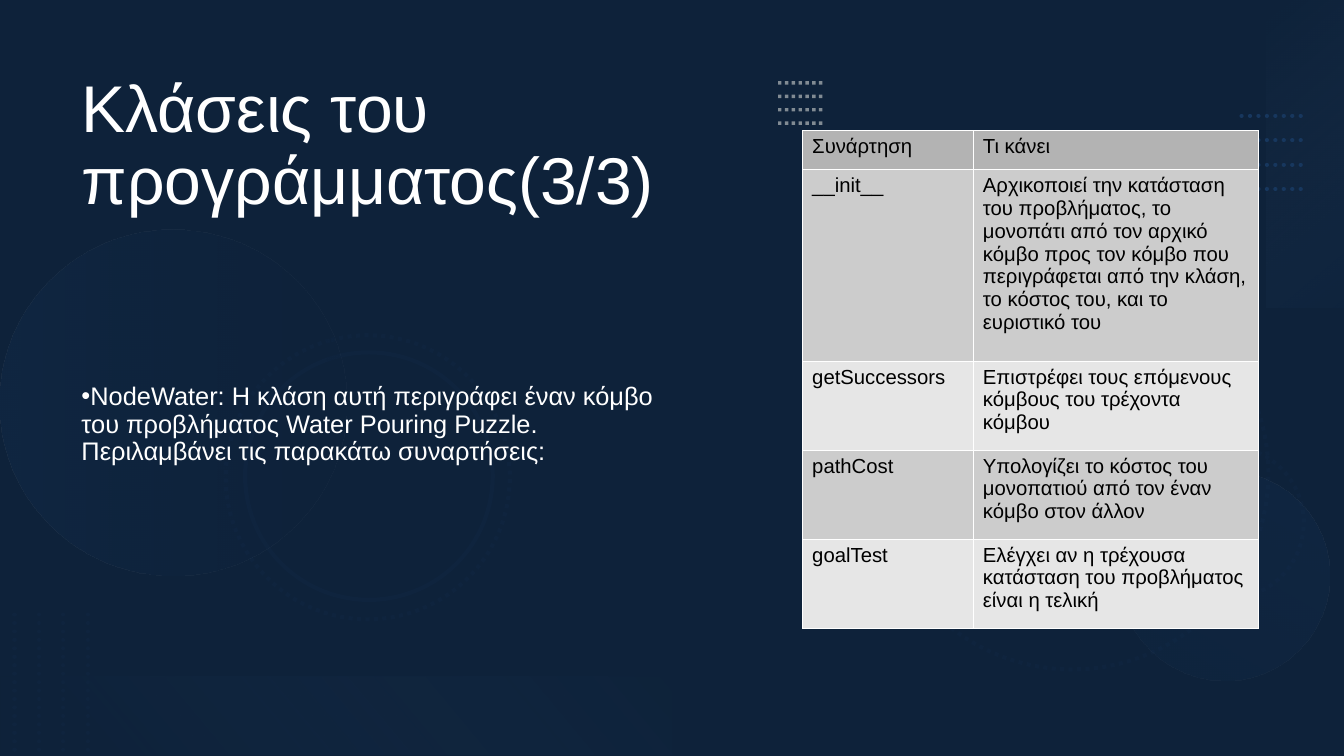
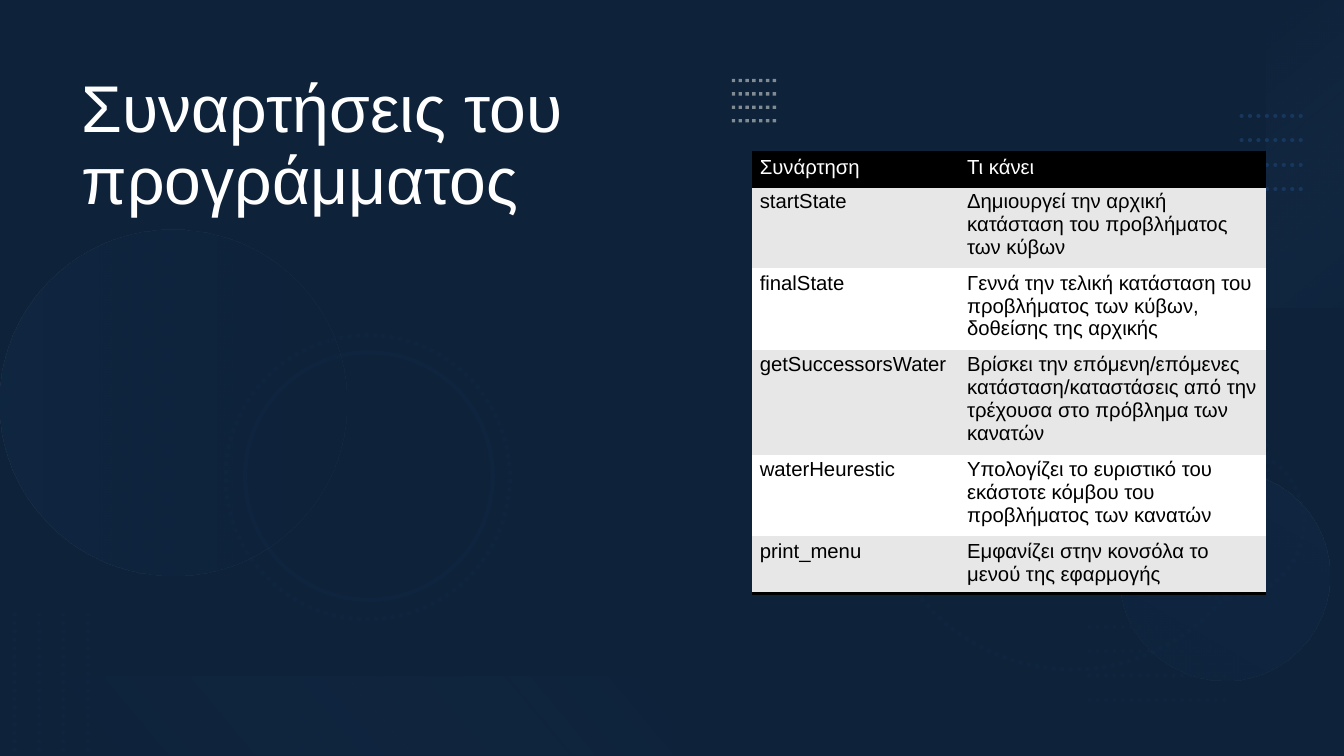
from lxml.etree import SubElement
from pptx import Presentation
from pptx.dml.color import RGBColor
from pptx.enum.dml import MSO_LINE
from pptx.enum.shapes import MSO_CONNECTOR, MSO_SHAPE
from pptx.enum.text import MSO_ANCHOR, PP_ALIGN
from pptx.oxml import parse_xml
from pptx.oxml.ns import nsdecls, qn
from pptx.util import Inches, Pt

BLUE = RGBColor(0x1F, 0x49, 0x7D)
NAVY = RGBColor(0x17, 0x37, 0x5E)
MIDNIGHT = RGBColor(0x0F, 0x24, 0x3E)
SKY = RGBColor(0x8E, 0xB4, 0xE3)
AZURE = RGBColor(0x55, 0x8E, 0xD5)
CREAM = RGBColor(0xF5, 0xF4, 0xED)
WHITE = RGBColor(0xFF, 0xFF, 0xFF)
BLACK = RGBColor(0x00, 0x00, 0x00)
HEADER_GRAY = RGBColor(0xB3, 0xB3, 0xB3)
DARK_GRAY = RGBColor(0xCC, 0xCC, 0xCC)
LIGHT_GRAY = RGBColor(0xE6, 0xE6, 0xE6)
BAND_GRAY = RGBColor(0xE7, 0xE7, 0xE7)

WIDTH, HEIGHT = 11.02, 6.2
PARAGRAPH = {"line_spacing": 0.9, "space_before": Pt(0), "space_after": Pt(6),
             "alignment": PP_ALIGN.LEFT}
NO_TABLE_STYLE = "{2D5ABB26-0587-4C30-8999-92F81FD0307C}"

# left, top, width, height, fill colour, opacity
BACKDROP = [(BLUE, 100), (BLACK, 53)]
# left, top, diameter, rotation, dash
RINGS_RIGHT = [(7.18, 2.27, 3.22, 75, MSO_LINE.ROUND_DOT),
               (9.44, 3.66, 1.25, 270, MSO_LINE.ROUND_DOT)]
RINGS_LEFT = [(1.85, 2.75, 2.33, 75, MSO_LINE.ROUND_DOT),
              (2.01, 2.89, 2.03, 75, MSO_LINE.SOLID)]
# preset, left, top, width, height, rotation, angle, (position, colour, opacity) stops
GLOWS = [
    (MSO_SHAPE.OVAL, 0, 1.88, 2.84, 2.84, 270, 90, [(0, NAVY, 20), (1, MIDNIGHT, 10)]),
    (MSO_SHAPE.OVAL, 9.18, 3.86, 1.72, 1.72, 210, 90, [(0, NAVY, 10), (1, NAVY, 20)]),
    (MSO_SHAPE.RECTANGLE, 9.44, 0.94, 2.53, 0.64, 270, 140, [(0, SKY, 0), (1, NAVY, 10)]),
    (MSO_SHAPE.RECTANGLE, 0, 5.55, 5.51, 0.64, 180, 140,
     [(0.1, MIDNIGHT, 10), (1, AZURE, 0)]),
]
# left, top, line width, line height, step right, step down, colour, weight, opacity, cap
DOTS_TOP = (10.18, 0.95, 0.5, 0, 0, 0.2, NAVY, 2.5, 100, "rnd")
DOTS_LEFT = (0.12, 5.04, 0, 1.16, 0.2, 0, MIDNIGHT, 2.5, 100, "rnd")
DOTS_BOTTOM = (8.93, 5.14, 1.16, 0, 0, 0.2, MIDNIGHT, 2.5, 100, "rnd")

WHITE_EDGE, BLACK_EDGE = (WHITE, 0.06), (BLACK, 2)

PAGES = [
    {
        "title": "Κλάσεις του προγράμματος(3/3)",
        "title_size": (5.03, 2.38),
        "body": "NodeWater: Η κλάση αυτή περιγράφει έναν κόμβο του προβλήματος "
                "Water Pouring Puzzle. Περιλαμβάνει τις παρακάτω συναρτήσεις:",
        "dots": [(6.38, 0.68, 0.39, 0, 0, 0.11, CREAM, 2, 50, "flat")],
        "table_at": (6.58, 1.07),
        "columns": [1.4, 2.34],
        "heights": [0.32, 1.57, 0.73, 0.73, 0.73],
        "margins": (0.08, 0.04),
        "header": (HEADER_GRAY, BLACK),
        "bands": (DARK_GRAY, LIGHT_GRAY),
        "edges": {row: dict.fromkeys("LRTB", WHITE_EDGE) for row in range(5)},
        "rows": [
            ("Συνάρτηση", "Τι κάνει"),
            ("__init__", "Αρχικοποιεί την κατάσταση του προβλήματος, το μονοπάτι από τον "
                         "αρχικό κόμβο προς τον κόμβο που περιγράφεται από την κλάση, "
                         "το κόστος του, και το ευριστικό του"),
            ("getSuccessors", "Επιστρέφει τους επόμενους κόμβους του τρέχοντα κόμβου"),
            ("pathCost", "Υπολογίζει το κόστος του μονοπατιού από τον έναν κόμβο στον άλλον"),
            ("goalTest", "Ελέγχει αν η τρέχουσα κατάσταση του προβλήματος είναι η τελική"),
        ],
    },
    {
        "title": "Συναρτήσεις του προγράμματος",
        "title_size": (5.17, 2.44),
        "body": None,
        "dots": [DOTS_BOTTOM, (6, 0.66, 0.38, 0, 0, 0.11, CREAM, 2, 50, "flat")],
        "table_at": (6.17, 1.25),
        "columns": [1.7, 2.51],
        "heights": [0.28, 0.67, 0.67, 0.86, 0.67, 0.47],
        "margins": (0.06, 0.03),
        "header": (BLACK, WHITE),
        "bands": (BAND_GRAY, WHITE),
        "edges": {0: {"T": BLACK_EDGE, "B": BLACK_EDGE}, 5: {"B": BLACK_EDGE}},
        "rows": [
            ("Συνάρτηση", "Τι κάνει"),
            ("startState", "Δημιουργεί την αρχική κατάσταση του προβλήματος των κύβων"),
            ("finalState", "Γεννά την τελική κατάσταση του προβλήματος των κύβων, "
                           "δοθείσης της αρχικής"),
            ("getSuccessorsWater", "Βρίσκει την επόμενη/επόμενες κατάσταση/καταστάσεις από "
                                   "την τρέχουσα στο πρόβλημα των κανατών"),
            ("waterHeurestic", "Υπολογίζει το ευριστικό του εκάστοτε κόμβου του "
                               "προβλήματος των κανατών"),
            ("print_menu", "Εμφανίζει στην κονσόλα το μενού της εφαρμογής"),
        ],
    },
]


def set_opacity(shape, percents):
    for colour, percent in zip(shape.element.xpath("./p:spPr//a:srgbClr"), percents):
        if percent < 100:
            SubElement(colour, qn("a:alpha"), val=str(percent * 1000))


def write_text(frame, text, size, colour, paragraph_format):
    frame.word_wrap = True
    frame.text = text
    para = frame.paragraphs[0]
    for name, value in paragraph_format.items():
        setattr(para, name, value)
    font_format = {"name": "Arial", "size": Pt(size), "bold": False}
    for name, value in font_format.items():
        setattr(para.runs[0].font, name, value)
    para.runs[0].font.color.rgb = colour
    return para


deck = Presentation()
deck.slide_width, deck.slide_height = Inches(WIDTH), Inches(HEIGHT)

for content in PAGES:
    page = deck.slides.add_slide(deck.slide_layouts[5])
    shapes = page.shapes

    for colour, opacity in BACKDROP:
        panel = shapes.add_shape(MSO_SHAPE.RECTANGLE, 0, 0, deck.slide_width, deck.slide_height)
        panel.shadow.inherit = False
        panel.fill.solid()
        panel.fill.fore_color.rgb = colour
        panel.line.fill.background()
        set_opacity(panel, [opacity])

    for left, top, diameter, rotation, dash in RINGS_RIGHT + RINGS_LEFT:
        ring = shapes.add_shape(MSO_SHAPE.OVAL, Inches(left), Inches(top),
                                Inches(diameter), Inches(diameter))
        ring.rotation = rotation
        ring.shadow.inherit = False
        ring.fill.background()
        ring.line.color.rgb = MIDNIGHT
        ring.line.width = Pt(2.5)
        ring.line.dash_style = dash

    for preset, left, top, width, height, rotation, angle, stops in GLOWS:
        glow = shapes.add_shape(preset, Inches(left), Inches(top), Inches(width), Inches(height))
        glow.rotation = rotation
        glow.shadow.inherit = False
        glow.line.fill.background()
        glow.fill.gradient()
        glow.fill.gradient_angle = 360 - angle
        for stop, (position, colour, _) in zip(glow.fill.gradient_stops, stops):
            stop.position = position
            stop.color.rgb = colour
        set_opacity(glow, [opacity for _, _, opacity in stops])

    for grid in [DOTS_TOP, DOTS_LEFT] + content["dots"]:
        left, top, width, height, right, down, colour, weight, opacity, cap = grid
        for index in range(4):
            x, y = left + index * right, top + index * down
            dots = shapes.add_connector(MSO_CONNECTOR.STRAIGHT, Inches(x), Inches(y),
                                        Inches(x + width), Inches(y + height))
            dots.line.color.rgb = colour
            dots.line.width = Pt(weight)
            dots.line.dash_style = MSO_LINE.ROUND_DOT
            dots.line._ln.set("cap", cap)
            set_opacity(dots, [opacity])
            SubElement(dots.element.spPr, qn("a:effectLst"))

    title = shapes.title
    title.left, title.top = Inches(0.57), Inches(0.57)
    title.width, title.height = [Inches(length) for length in content["title_size"]]
    title.text_frame.vertical_anchor = MSO_ANCHOR.TOP
    write_text(title.text_frame, content["title"], 39, WHITE, PARAGRAPH)
    shapes._spTree.append(title.element)

    if content["body"]:
        box = shapes.add_textbox(Inches(0.57), Inches(3.1), Inches(5.03), Inches(2.56))
        para = write_text(box.text_frame, content["body"], 15, WHITE, PARAGRAPH)
        properties = para._p.get_or_add_pPr()
        properties.set("marL", "0")
        properties.set("indent", str(-Inches(0.25)))
        SubElement(properties, qn("a:buFont"), typeface="Arial")
        SubElement(properties, qn("a:buChar"), char="•")

    rows, columns, heights = content["rows"], content["columns"], content["heights"]
    left, top = content["table_at"]
    frame = shapes.add_table(len(rows), len(columns), Inches(left), Inches(top),
                             Inches(sum(columns)), Inches(sum(heights)))
    table = frame.table
    table._tbl.tblPr.find(qn("a:tableStyleId")).text = NO_TABLE_STYLE
    for column, width in zip(table.columns, columns):
        column.width = Inches(width)
    for row, height in zip(table.rows, heights):
        row.height = Inches(height)

    side, edge = content["margins"]
    margins = {"margin_left": side, "margin_right": side,
               "margin_top": edge, "margin_bottom": edge}
    for row_index, texts in enumerate(rows):
        if row_index == 0:
            fill, ink = content["header"]
        else:
            fill, ink = content["bands"][(row_index - 1) % 2], BLACK
        for column_index, text in enumerate(texts):
            cell = table.cell(row_index, column_index)
            for name, value in margins.items():
                setattr(cell, name, Inches(value))
            cell.fill.solid()
            cell.fill.fore_color.rgb = fill
            write_text(cell.text_frame, text, 12, ink, {"alignment": PP_ALIGN.LEFT})
            cell_edges = content["edges"].get(row_index, {})
            for place, (letter, (colour, weight)) in enumerate(cell_edges.items()):
                border = parse_xml(
                    f'<a:ln{letter} {nsdecls("a")} w="{Pt(weight)}"><a:solidFill>'
                    f'<a:srgbClr val="{colour}"/></a:solidFill></a:ln{letter}>')
                cell._tc.get_or_add_tcPr().insert(place, border)

deck.save("out.pptx")
